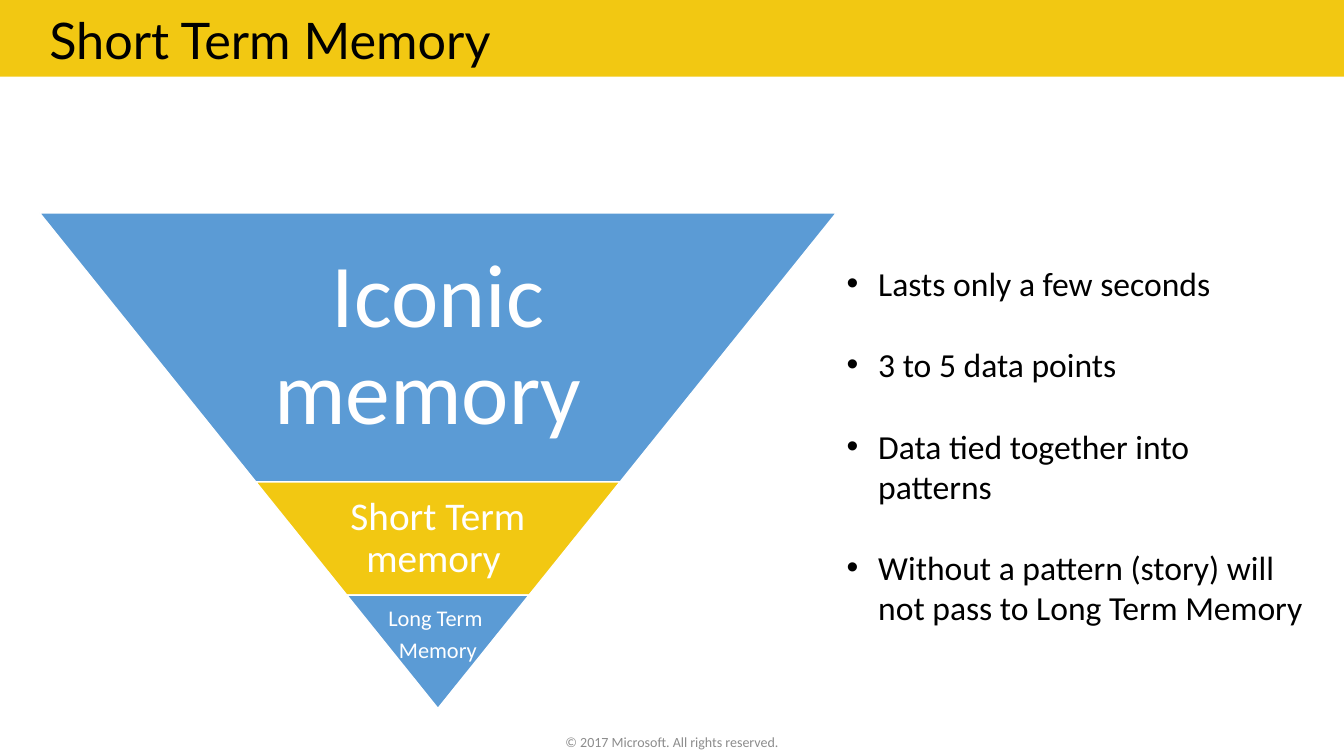
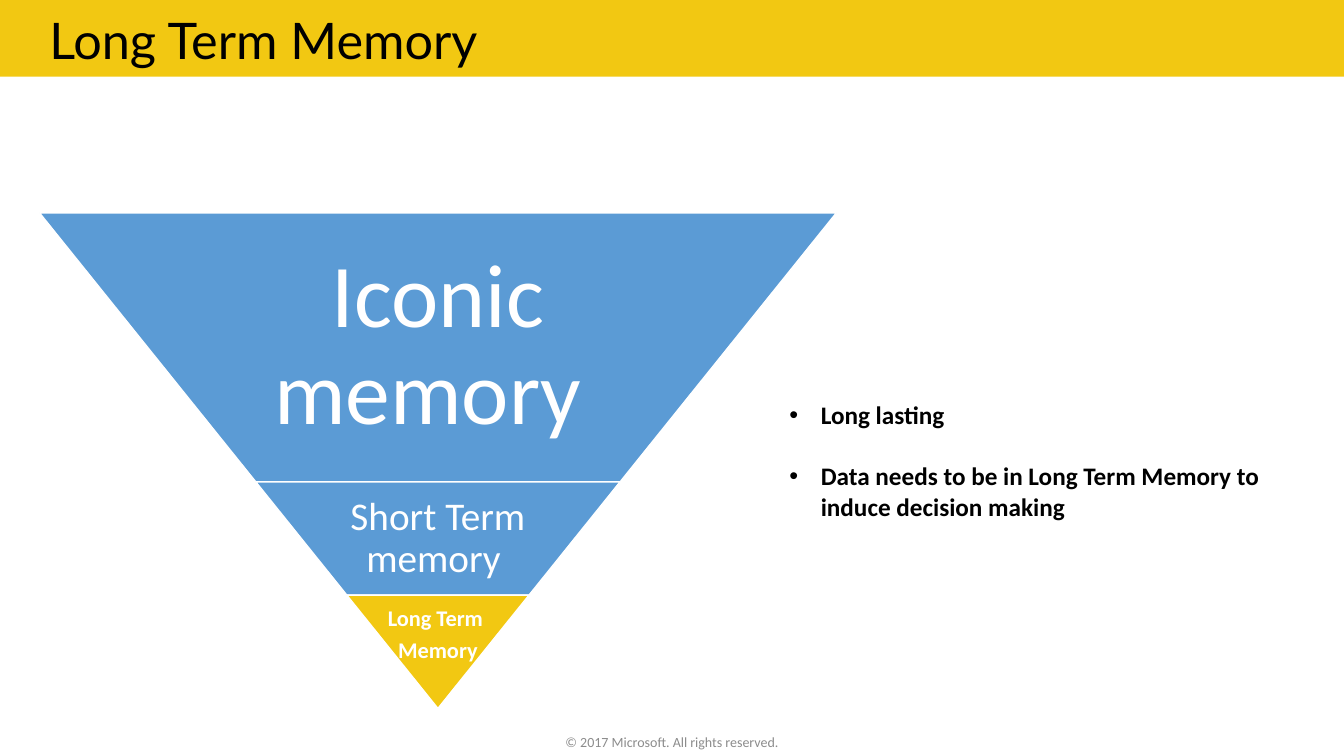
from dataclasses import dataclass

from lxml.etree import SubElement
from pptx import Presentation
from pptx.dml.color import RGBColor
from pptx.enum.shapes import MSO_SHAPE
from pptx.enum.text import MSO_ANCHOR, MSO_AUTO_SIZE, PP_ALIGN
from pptx.oxml.ns import qn
from pptx.util import Pt


# Theme: colours, fonts and type sizes
@dataclass(frozen=True)
class Theme:
    gold: str = "F2C812"
    blue: str = "5B9BD5"
    white: str = "FFFFFF"
    black: str = "000000"
    grey: str = "8C8C8C"
    head: str = "Lato"
    text: str = "Calibri"
    title: int = 36
    large: int = 24
    small: int = 18
    foot: int = 10


THEME = Theme()
WIDE, HIGH = 960, 540
RIGHT = 939
SLOPE = 0.804  # side run per unit of height
FOOTER = "© 2017 Microsoft. All rights reserved."

# Tiers: lines, type size, height, share of width for text, space below text
TIERS = [
    (["Iconic memory "], 64, 192.2, 0.65, 0),
    (["Short Term memory "], 28, 80.9, 0.65, 0),
    (["Long Term ", "Memory"], 16, 80.9, 1, 23),
]


def write(shape, lines, size, color=THEME.black, font=THEME.text, bold=False,
          align=PP_ALIGN.LEFT, anchor=MSO_ANCHOR.TOP, inset=(7.2, 3.6, 7.2, 3.6),
          space=1, gap=0, bullet=False):
    """Fill a shape with one paragraph per line."""
    frame = shape.text_frame
    frame.word_wrap = True
    frame.auto_size = MSO_AUTO_SIZE.NONE
    frame.vertical_anchor = anchor
    (frame.margin_left, frame.margin_top,
     frame.margin_right, frame.margin_bottom) = map(Pt, inset)
    for i, line in enumerate(lines):
        para = frame.paragraphs[0] if i == 0 else frame.add_paragraph()
        para.alignment = align
        para.line_spacing = space
        para.space_before = Pt(gap if i else 0)
        para.space_after = Pt(0)
        if bullet:
            props = para._p.get_or_add_pPr()
            props.set("marL", str(Pt(22.5)))
            props.set("indent", str(Pt(-22.5)))
            SubElement(props, qn("a:buFont")).set("typeface", "Arial")
            SubElement(props, qn("a:buChar")).set("char", "•")
        run = para.add_run()
        run.text = line
        run.font.size = Pt(size)
        run.font.name = font
        run.font.bold = bold
        run.font.color.rgb = RGBColor.from_string(color)


def place(shape, left, top, width, height):
    shape.left, shape.top = Pt(left), Pt(top)
    shape.width, shape.height = Pt(width), Pt(height)


class Deck:
    def __init__(self, theme):
        self.theme = theme
        self.show = Presentation()
        self.show.slide_width, self.show.slide_height = Pt(WIDE), Pt(HIGH)
        self.slide = None

    def block(self, kind, box, fill, line=None):
        shape = self.slide.shapes.add_shape(kind, *map(Pt, box))
        shape.shadow.inherit = False
        shape.fill.solid()
        shape.fill.fore_color.rgb = RGBColor.from_string(fill)
        if line:
            shape.line.color.rgb = RGBColor.from_string(line)
            shape.line.width = Pt(1)
        else:
            shape.line.fill.background()
        return shape

    def label(self, box, lines, size, **form):
        write(self.slide.shapes.add_textbox(*map(Pt, box)), lines, size, **form)

    def start(self, title):
        """Add a slide with its band, title and footer."""
        look = self.theme
        self.slide = self.show.slides.add_slide(self.show.slide_layouts[1])
        band = self.block(MSO_SHAPE.RECTANGLE, (0, 0, WIDE, 54.7), look.gold)
        self.slide.shapes._spTree.insert(2, band._element)  # behind the title
        head = self.slide.shapes.title
        place(head, 28, 2.9, 874, 51.8)
        write(head, [title], look.title, font=look.head)
        self.label((318, 520.6, 324, 18), [FOOTER], look.foot,
                   color=look.grey, align=PP_ALIGN.CENTER)

    def funnel(self, focus, bold=False):
        """Stack the tiers point down, with one of them in gold."""
        look, mid, top = self.theme, 312.8, 152
        width = 2 * SLOPE * sum(tier[2] for tier in TIERS)
        for i, (lines, size, height, share, below) in enumerate(TIERS):
            fill = look.gold if i == focus else look.blue
            tier = self.block(MSO_SHAPE.TRAPEZOID,
                              (mid - width / 2, top, width, height), fill, look.white)
            tier.adjustments[0] = SLOPE
            tier.rotation = 180
            pad, span = size / 10, width * share
            self.label((mid - span / 2, top, span, height), lines, size,
                       color=look.white, bold=bold and i == focus,
                       align=PP_ALIGN.CENTER, anchor=MSO_ANCHOR.MIDDLE,
                       inset=(pad, pad, pad, pad + below), space=0.9, gap=5.5)
            top += height
            width -= 2 * SLOPE * height

    def points(self, left, top, height, lines, size, bold=False):
        """Set the list, one line of space between its points."""
        body = self.slide.placeholders[1]
        place(body, left, top, RIGHT - left, height)
        write(body, lines, size, bold=bold, gap=1.22 * size, bullet=True)

    def save(self):
        self.show.save("out.pptx")


def main():
    deck = Deck(THEME)

    # Short term memory
    deck.start("Short Term Memory")
    deck.funnel(focus=1)
    deck.points(597.6, 184.1, 268.8, [
        "Lasts only a few seconds",
        "3 to 5 data points",
        "Data tied together into patterns",
        "Without a pattern (story) will not pass to Long Term Memory",
    ], THEME.large)

    # Long term memory
    deck.start("Long Term Memory")
    deck.funnel(focus=2, bold=True)
    deck.points(556.6, 281.9, 94.7, [
        "Long lasting",
        "Data needs to be in Long Term Memory to induce decision making",
    ], THEME.small, bold=True)

    deck.save()


if __name__ == "__main__":
    main()
